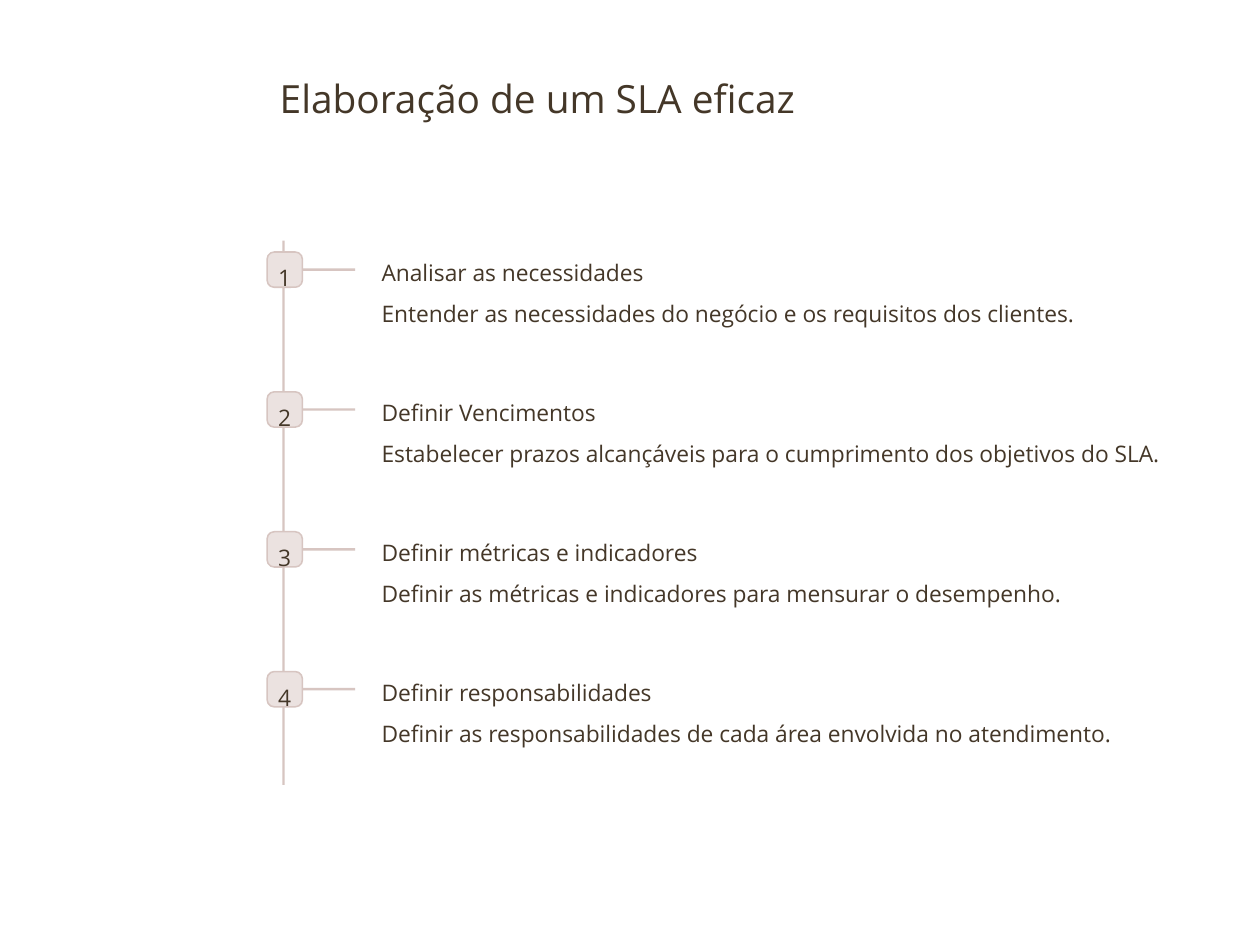
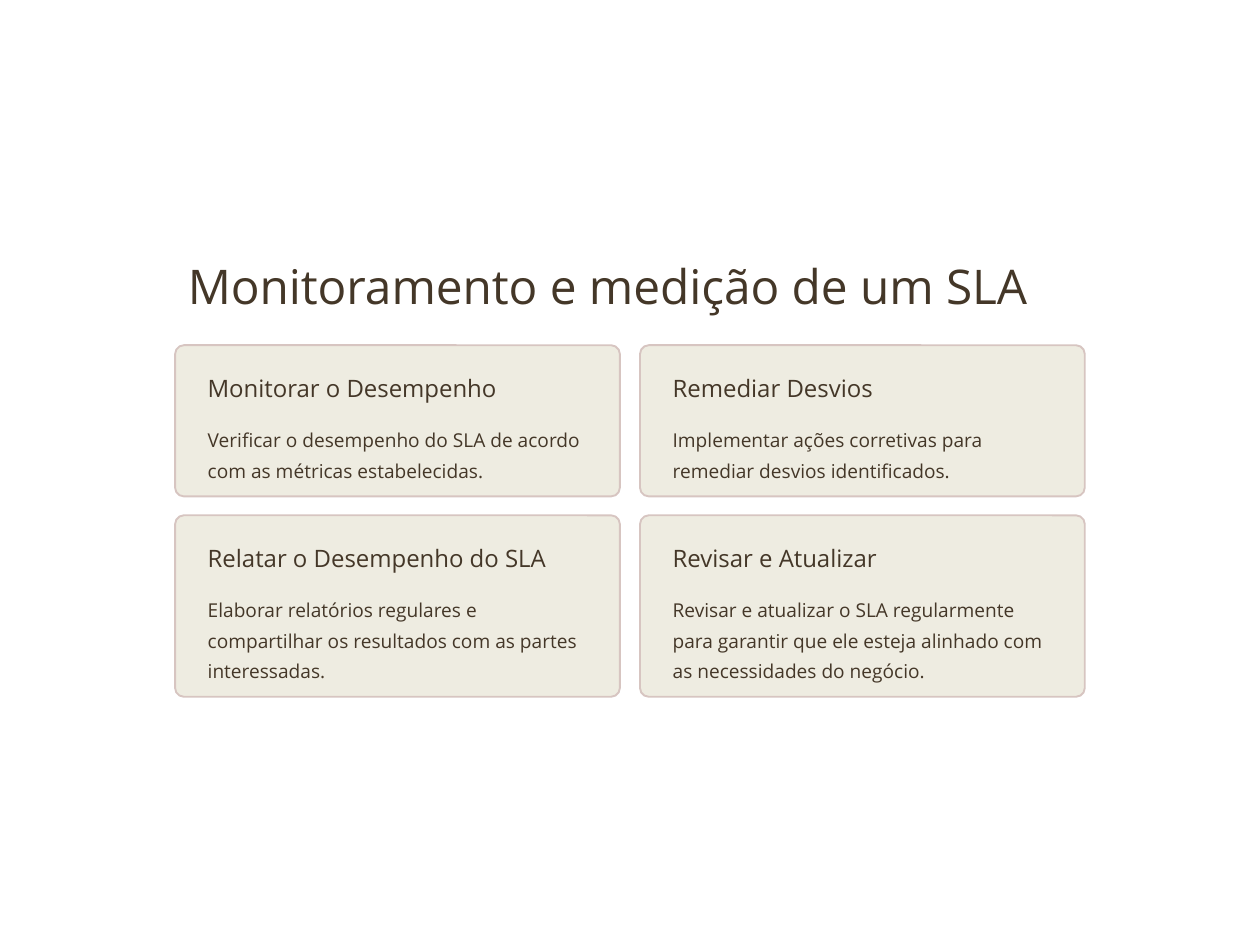
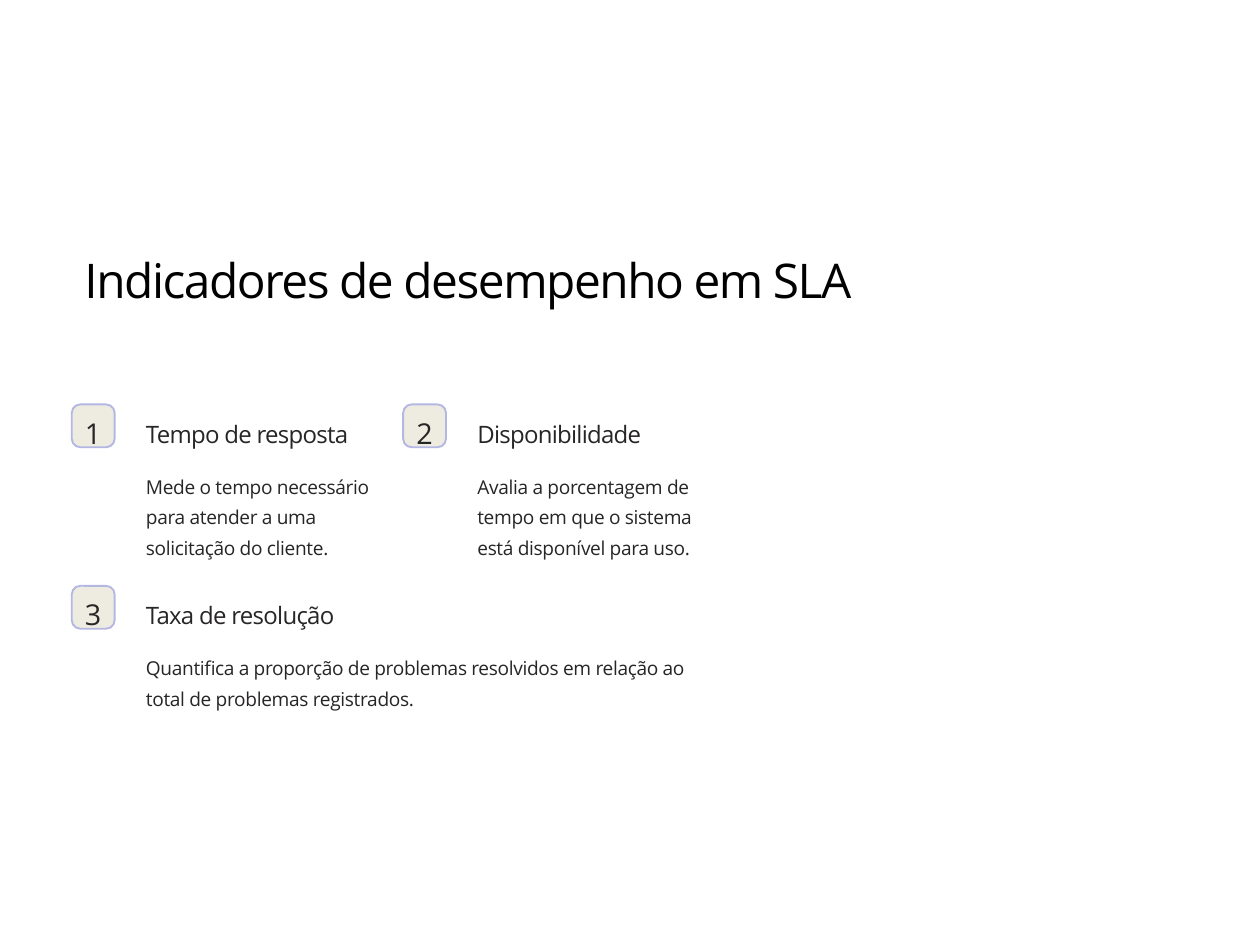
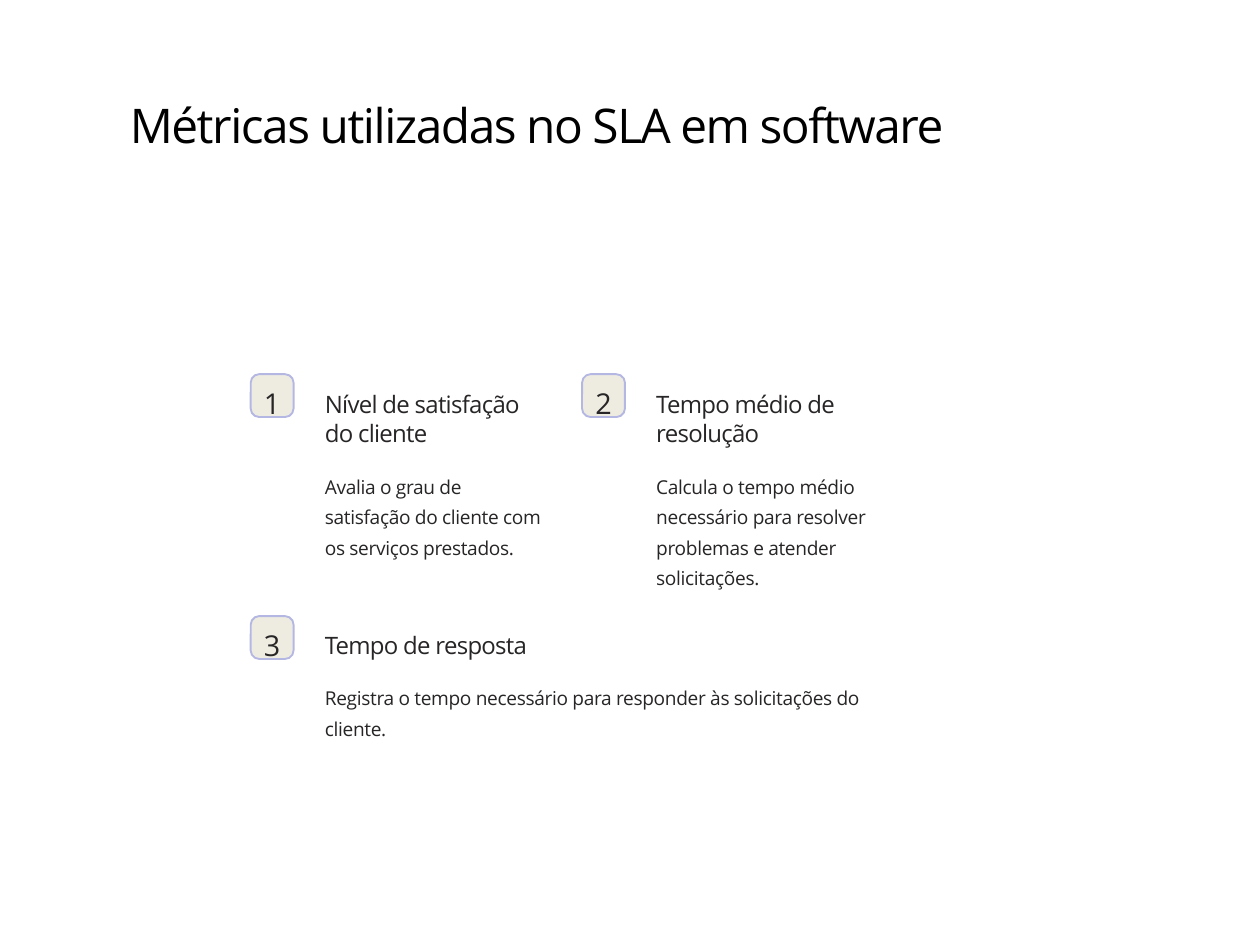
from pptx import Presentation
from pptx.dml.color import RGBColor
from pptx.enum.shapes import MSO_SHAPE
from pptx.enum.text import MSO_ANCHOR, MSO_AUTO_SIZE, PP_ALIGN
from pptx.util import Inches, Pt

RECT, ROUND = MSO_SHAPE.RECTANGLE, MSO_SHAPE.ROUNDED_RECTANGLE
LEFT, CENTER = PP_ALIGN.LEFT, PP_ALIGN.CENTER
TOP, FIXED = MSO_ANCHOR.TOP, MSO_AUTO_SIZE.NONE
TITLE_ONLY = 5

FONT = "Open Sans"
COLORS = {
    "brown": "443728",
    "ink": "272525",
    "black": "000000",
    "rose": "D7C5C1",
    "blush": "EBE2E0",
    "cream": "EEECE1",
    "lilac": "B5B7E3",
}

# Text styles: size, line spacing, letter spacing (points)
STYLES = {
    "small title": (22.2, 27.8, 0),
    "title": (27.3, 34.2, 0),
    "tight title": (27.3, 34.2, -0.8),
    "step mark": (13, 16.6, 0),
    "step head": (13, 13.9, 0),
    "step body": (13, 14.2, 0),
    "mark": (16.4, 20.5, -0.2),
    "head": (13.7, 17.1, 0),
    "tight head": (13.7, 17.1, -0.4),
    "body": (10.9, 17.5, 0),
    "tight body": (10.9, 17.5, -0.2),
}


def color(name):
    return RGBColor.from_string(COLORS[name])


class Deck:
    """Holds the presentation, the shared style and the current slide."""

    def __init__(self):
        self.prs = Presentation()
        self.prs.slide_width = Inches(10)
        self.prs.slide_height = Inches(7.5)
        self.slide = None

    def start(self, title, box, style, ink):
        """Add a slide with its title placed in box."""
        layout = self.prs.slide_layouts[TITLE_ONLY]
        self.slide = self.prs.slides.add_slide(layout)
        shape = self.slide.shapes.title
        shape.left, shape.top, shape.width, shape.height = map(Inches, box)
        self.label(shape, title, style, ink)

    def label(self, shape, text, style, ink, align=LEFT, wrap=True):
        size, line, gap = STYLES[style]
        frame = shape.text_frame
        frame.text = text
        frame.word_wrap = wrap
        frame.auto_size = FIXED
        frame.vertical_anchor = TOP
        para = frame.paragraphs[0]
        para.alignment = align
        para.line_spacing = Pt(line)
        para.font.name = FONT
        para.font.size = Pt(size)
        para.font.color.rgb = color(ink)
        if gap:
            props = para.runs[0]._r.get_or_add_rPr()
            props.set("spc", str(round(gap * 100)))

    def text(self, text, x, y, w, h, style, ink, align=LEFT, wrap=True):
        box = self.slide.shapes.add_textbox(*map(Inches, (x, y, w, h)))
        self.label(box, text, style, ink, align, wrap)

    def block(self, kind, x, y, w, h, fill, line=None, weight=0, radius=0):
        shape = self.slide.shapes.add_shape(kind, *map(Inches, (x, y, w, h)))
        shape.shadow.inherit = False
        shape.fill.solid()
        shape.fill.fore_color.rgb = color(fill)
        if line:
            shape.line.color.rgb = color(line)
            shape.line.width = Pt(weight)
        else:
            shape.line.fill.background()
        if kind == ROUND:
            shape.adjustments[0] = radius

    def badge(self, num, x, y, size, fill, line, weight, style, ink):
        """Draw a rounded square with a number over it."""
        self.block(ROUND, x, y, size, size, fill, line, weight, 0.2)
        self.text(str(num), x + size / 2 - 0.05, y + 0.03, 0.1, size - 0.06,
                  style, ink, CENTER, False)

    def step(self, num, y, head, wide, body):
        """Draw one stop of the timeline."""
        self.block(RECT, 2.39, y + 0.13, 0.43, 0.02, "rose")
        self.badge(num, 2.12, y, 0.28, "blush", "rose", 0.88,
                   "step mark", "brown")
        self.text(head, 2.93, y + 0.03, wide, 0.19, "step head", "brown",
                  wrap=False)
        self.text(body, 2.93, y + 0.35, 4.99, 0.2, "step body", "brown",
                  wrap=False)

    def card(self, x, y, h, head, wide, body):
        self.block(ROUND, x, y, 3.53, h, "cream", "rose", 1.09, 0.07 / h)
        self.text(head, x + 0.16, y + 0.17, wide, 0.24, "head", "brown",
                  wrap=False)
        self.text(body, x + 0.16, y + 0.55, 3.21, h - 0.71, "body", "brown")

    def point(self, num, x, y, head, body, wide=1.99, lines=1, tall=0.73):
        """Draw a numbered point whose heading takes the given lines."""
        self.badge(num, x, y, 0.34, "cream", "lilac", 1.09, "mark", "ink")
        self.text(head, x + 0.49, y + 0.06, 1.99, 0.24 * lines,
                  "tight head", "ink")
        self.text(body, x + 0.49, y + 0.21 + 0.24 * lines, wide, tall,
                  "tight body", "ink")

    def points(self, x, y, drop, items, lines=1):
        """Draw two points side by side and a wide one below."""
        for i, (head, body) in enumerate(items[:2]):
            self.point(i + 1, x + 2.63 * i, y, head, body, lines=lines)
        self.point(3, x, y + drop, *items[2], wide=4.62, tall=0.49)


STEPS = [
    ("Analisar as necessidades", 1.59,
     "Entender as necessidades do negócio e os requisitos dos clientes."),
    ("Definir Vencimentos", 1.35,
     "Estabelecer prazos alcançáveis para o cumprimento dos objetivos do SLA."),
    ("Definir métricas e indicadores", 1.97,
     "Definir as métricas e indicadores para mensurar o desempenho."),
    ("Definir responsabilidades", 1.68,
     "Definir as responsabilidades de cada área envolvida no atendimento."),
]

CARDS = [
    ("Monitorar o Desempenho", 2.07,
     "Verificar o desempenho do SLA de acordo com as métricas estabelecidas."),
    ("Remediar Desvios", 1.52,
     "Implementar ações corretivas para remediar desvios identificados."),
    ("Relatar o Desempenho do SLA", 2.41,
     "Elaborar relatórios regulares e compartilhar os resultados com as "
     "partes interessadas."),
    ("Revisar e Atualizar", 1.52,
     "Revisar e atualizar o SLA regularmente para garantir que ele esteja "
     "alinhado com as necessidades do negócio."),
]

SIGNS = [
    ("Tempo de resposta",
     "Mede o tempo necessário para atender a uma solicitação do cliente."),
    ("Disponibilidade",
     "Avalia a porcentagem de tempo em que o sistema está disponível "
     "para uso."),
    ("Taxa de resolução",
     "Quantifica a proporção de problemas resolvidos em relação ao total "
     "de problemas registrados."),
]

METRICS = [
    ("Nível de satisfação do cliente",
     "Avalia o grau de satisfação do cliente com os serviços prestados."),
    ("Tempo médio de resolução",
     "Calcula o tempo médio necessário para resolver problemas e atender "
     "solicitações."),
    ("Tempo de resposta",
     "Registra o tempo necessário para responder às solicitações do cliente."),
]


def main():
    deck = Deck()

    deck.start("Elaboração de um SLA eficaz", (2.12, 0.53, 4.4, 0.39),
               "small title", "brown")
    deck.block(RECT, 2.24, 1.91, 0.02, 4.32, "rose")
    for i, item in enumerate(STEPS):
        deck.step(i + 1, 2 + 1.11 * i, *item)

    deck.start("Monitoramento e medição de um SLA", (1.39, 1.97, 7, 0.47),
               "title", "brown")
    rows = [(2.74, 1.2), (4.09, 1.44)]
    for i, item in enumerate(CARDS):
        deck.card(1.39 + 3.69 * (i % 2), *rows[i // 2], *item)

    deck.start("Indicadores de desempenho em SLA", (0.57, 1.92, 9.12, 0.95),
               "tight title", "black")
    deck.points(0.57, 3.21, 1.44, SIGNS)

    deck.start("Métricas utilizadas no SLA em software",
               (0.93, 0.69, 7.58, 0.95), "tight title", "black")
    deck.points(1.99, 2.97, 1.92, METRICS, lines=2)

    deck.prs.save("out.pptx")


if __name__ == "__main__":
    main()
